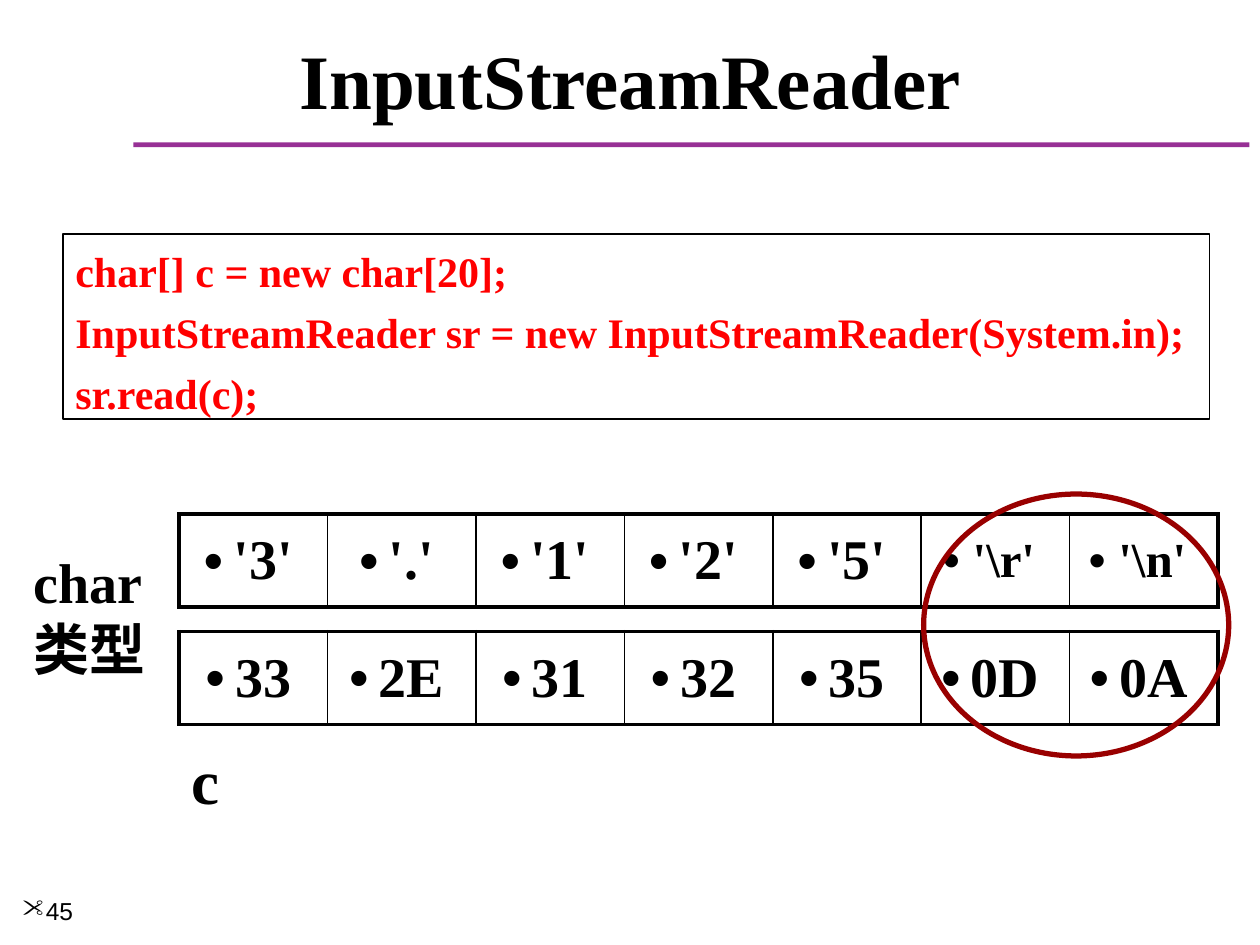
from lxml import etree
from pptx import Presentation
from pptx import util as u
from pptx.dml.color import RGBColor
from pptx.enum import shapes, text
from pptx.oxml.ns import qn

COLOURS = {"ink": "000000", "code": "FF0000", "rule": "973095", "ring": "990000"}
SERIF, SANS, CHINESE = "Times New Roman", "Arial", "Noto Sans CJK SC"
CHARACTERS = ["'3'", "'.'", "'1'", "'2'", "'5'", r"'\r'", r"'\n'"]
CODES = ["33", "2E", "31", "32", "35", "0D", "0A"]
THICK, THIN = 2.25, 1


def colour(name):
    return RGBColor.from_string(COLOURS[name])


def lengths(box):
    return [u.Cm(value) for value in box]


def write(frame, lines, size=32, font=SERIF, ink="ink", bold=True, align="LEFT",
          gap=0, bullet=None, bullet_font=SANS):
    """Fill a text frame with one paragraph for each line."""
    for index, line in enumerate(lines):
        para = frame.paragraphs[0] if index == 0 else frame.add_paragraph()
        para.alignment = getattr(text.PP_ALIGN, align)
        if index:
            para.space_before = u.Pt(gap)
        if bullet:
            props = para._p.get_or_add_pPr()
            etree.SubElement(props, qn("a:buFont"), typeface=bullet_font)
            etree.SubElement(props, qn("a:buChar"), char=bullet)
        span = para.add_run()
        span.text = line
        span.font.name = font
        span.font.size = u.Pt(size)
        span.font.bold = bold
        span.font.color.rgb = colour(ink)
        etree.SubElement(span._r.get_or_add_rPr(), qn("a:ea"), typeface=CHINESE)


def add_text(page, box, lines, wrap=True, top=0.13, anchor="TOP", **style):
    frame = page.shapes.add_textbox(*lengths(box)).text_frame
    frame.word_wrap = wrap
    frame.margin_top = u.Cm(top)
    frame.vertical_anchor = getattr(text.MSO_ANCHOR, anchor)
    write(frame, lines, **style)


def add_shape(page, kind, box, fill=None, line=None, weight=1):
    shape = page.shapes.add_shape(kind, *lengths(box))
    shape.shadow.inherit = False
    if fill:
        shape.fill.solid()
        shape.fill.fore_color.rgb = colour(fill)
    else:
        shape.fill.background()
    if line:
        shape.line.color.rgb = colour(line)
        shape.line.width = u.Pt(weight)
    else:
        shape.line.fill.background()
    return shape


def add_borders(cell, weights):
    props = cell._tc.get_or_add_tcPr()
    for side, weight in zip("LRTB", weights):
        line = etree.SubElement(props, qn(f"a:ln{side}"), w=str(u.Pt(weight)))
        fill = etree.SubElement(line, qn("a:solidFill"))
        etree.SubElement(fill, qn("a:srgbClr"), val=COLOURS["ink"])


def add_heading(page, left, top, width):
    add_text(page, (left, top, width, 1.9), ["InputStreamReader"], anchor="MIDDLE",
             size=44, align="CENTER")
    add_shape(page, shapes.MSO_SHAPE.RECTANGLE, (left + 2.26, top + 2.23, 22.5, 0.1),
              fill="rule")


def add_code(page, box):
    frame = add_shape(page, shapes.MSO_SHAPE.RECTANGLE, box,
                      line="ink", weight=0.75).text_frame
    frame.word_wrap = True
    frame.margin_top = u.Cm(0.23)
    frame.vertical_anchor = text.MSO_ANCHOR.TOP
    write(frame, ["char[] c = new char[20];",
                  "InputStreamReader sr = new InputStreamReader(System.in);",
                  "sr.read(c);"], size=24, ink="code", gap=6)


def add_array_row(page, box, values):
    count = len(values)
    table = page.shapes.add_table(1, count, *lengths(box)).table
    table.first_row = table.horz_banding = False
    for index, value in enumerate(values):
        table.columns[index].width = u.Cm(box[2] / count)
        cell = table.cell(0, index)
        add_borders(cell, (THICK if index == 0 else THIN,
                           THICK if index == count - 1 else THIN, THICK, THICK))
        cell.fill.background()
        cell.vertical_anchor = text.MSO_ANCHOR.MIDDLE
        write(cell.text_frame, [value], size=28 if "\\" in value else 32,
              align="CENTER", bullet="•")


def add_array(page, left, top):
    # Two rows: the characters and their codes
    for index, values in enumerate((CHARACTERS, CODES)):
        add_array_row(page, (left, top + index * 2.37, 20.95, 1.88), values)
    # Type label on the left, variable name below
    add_text(page, (left - 3.18, top + 0.44, 2.79, 3.28), ["char", "类型"],
             wrap=False, top=0.23)
    add_text(page, (left, top + 4.35, 1.09, 1.8), ["c"], wrap=False, top=0.23, size=36)
    # Ring around the line ending
    add_shape(page, shapes.MSO_SHAPE.OVAL, (left + 15.01, top - 0.4, 6.15, 5.28),
              line="ring", weight=3)


def add_page_number(page, box):
    add_text(page, box, ["45"], size=14, font=SANS, bold=False,
             bullet='"', bullet_font="Wingdings")


def main():
    deck = Presentation()
    deck.slide_width, deck.slide_height = u.Cm(25.4), u.Cm(19.05)
    page = deck.slides.add_slide(deck.slide_layouts[6])
    add_heading(page, 0.43, 0.64, 24.56)
    add_page_number(page, (0.2, 17.93, 2.74, 1.12))
    add_code(page, (1.27, 4.72, 23.11, 3.73))
    add_array(page, 3.61, 10.36)
    deck.save("out.pptx")


if __name__ == "__main__":
    main()
